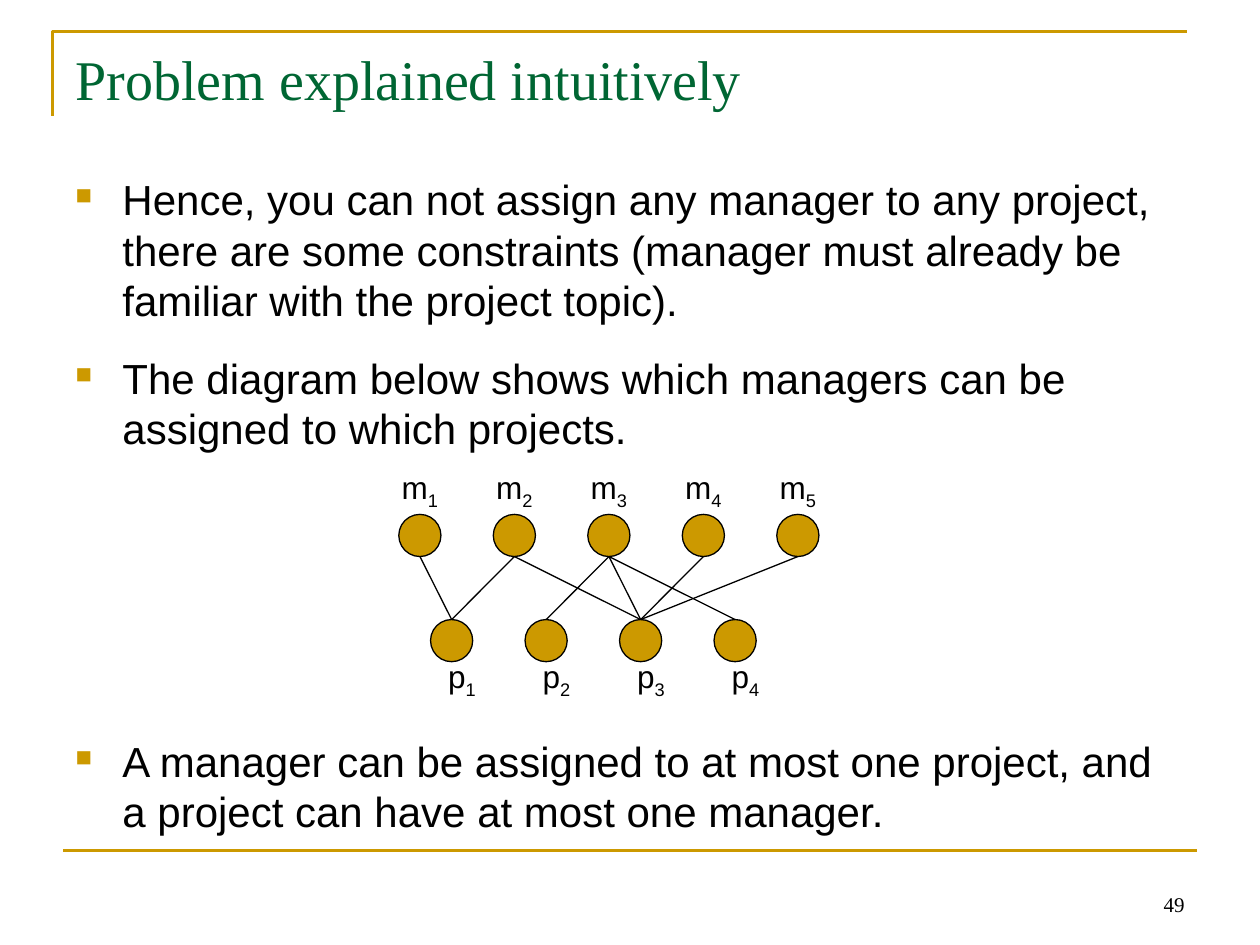
from dataclasses import dataclass

from lxml import etree
from pptx import Presentation
from pptx.dml.color import RGBColor
from pptx.enum.shapes import MSO_CONNECTOR, MSO_SHAPE
from pptx.enum.text import MSO_ANCHOR, MSO_AUTO_SIZE, PP_ALIGN
from pptx.oxml.ns import qn
from pptx.util import Cm, Pt

STRAIGHT = MSO_CONNECTOR.STRAIGHT
OVAL = MSO_SHAPE.OVAL
TOP, BOTTOM = MSO_ANCHOR.TOP, MSO_ANCHOR.BOTTOM
LEFT, CENTER, RIGHT = PP_ALIGN.LEFT, PP_ALIGN.CENTER, PP_ALIGN.RIGHT
FIXED_SIZE, GROW = MSO_AUTO_SIZE.NONE, MSO_AUTO_SIZE.SHAPE_TO_FIT_TEXT


@dataclass(frozen=True)
class Theme:
    """Colours, fonts, type sizes and line widths of the slide."""
    gold: str = "CC9900"
    green: str = "006633"
    black: str = "000000"
    serif: str = "Times New Roman"
    sans: str = "Arial"
    title: int = 32
    body: int = 24
    label: int = 18
    number: int = 12
    rule: float = 1.5
    edge: float = 0.75


THEME = Theme()
NODE_SIZE = 0.85
NODE_PITCH = 7.62 / 4
MANAGER_LEFT, MANAGER_TOP = 8.04, 10.37
PROJECT_LEFT, PROJECT_TOP = 8.68, 12.49
ASSIGNMENTS = [(1, 1), (2, 1), (2, 3), (3, 2), (3, 3), (3, 4), (4, 3), (5, 3)]
POINTS = [
    ("Hence, you can not assign any manager to any project, there are some "
     "constraints (manager must already be familiar with the project topic).", 0),
    ("The diagram below shows which managers can be assigned to which projects.", 15.7),
    ("A manager can be assigned to at most one project, and a project can have "
     "at most one manager.", 161.3),
]


def style_font(font, size, name, color):
    """Set the size, typeface and colour of a font."""
    font.size = Pt(size)
    font.name = name
    font.color.rgb = RGBColor.from_string(color)


def style_line(shape, color, width):
    """Set the colour and width of an outline or connector."""
    shape.line.color.rgb = RGBColor.from_string(color)
    shape.line.width = Pt(width)


def add_line(page, start, end, color, width):
    """Draw a straight line without a shadow between two points."""
    line = page.shapes.add_connector(STRAIGHT, *map(Cm, start + end))
    style_line(line, color, width)
    etree.SubElement(line._element.spPr, qn("a:effectLst"))


def add_frame(page):
    """Draw the corner rule around the title and the rule above the footer."""
    builder = page.shapes.build_freeform(Cm(1.06), Cm(2.33))
    builder.add_line_segments([(Cm(1.06), Cm(0.64)), (Cm(23.92), Cm(0.64))], close=False)
    corner = builder.convert_to_shape()
    corner.shadow.inherit = False
    corner.fill.background()
    style_line(corner, THEME.gold, THEME.rule)
    add_line(page, (1.27, 17.15), (24.13, 17.15), THEME.gold, THEME.rule)


def set_title(page, text):
    """Place, fill and format the title placeholder."""
    title = page.shapes.title
    title.left, title.top, title.width, title.height = Cm(1.27), Cm(0.76), Cm(22.86), Cm(3.18)
    frame = title.text_frame
    frame.text = text
    frame.word_wrap = True
    frame.auto_size = FIXED_SIZE
    frame.vertical_anchor = TOP
    para = frame.paragraphs[0]
    para.alignment = LEFT
    style_font(para.runs[0].font, THEME.title, THEME.serif, THEME.green)


def add_bullet(para):
    """Give a paragraph a hanging gold square bullet."""
    properties = para._p.get_or_add_pPr()
    properties.set("marL", str(Cm(0.95)))
    properties.set("indent", str(-Cm(0.95)))
    color = etree.SubElement(properties, qn("a:buClr"))
    etree.SubElement(color, qn("a:srgbClr"), val=THEME.gold)
    etree.SubElement(properties, qn("a:buSzPct"), val="54000")
    etree.SubElement(properties, qn("a:buChar"), char="■")


def add_points(page):
    """Write the bullet points, leaving room for the diagram."""
    box = page.shapes.add_textbox(Cm(1.27), Cm(3.38), Cm(22.86), Cm(12.57))
    frame = box.text_frame
    frame.word_wrap = True
    for index, (text, gap) in enumerate(POINTS):
        para = frame.paragraphs[0] if index == 0 else frame.add_paragraph()
        para.text = text
        add_bullet(para)
        para.space_before = Pt(gap)
        style_font(para.runs[0].font, THEME.body, THEME.sans, THEME.black)


def add_label(page, letter, number, center, top):
    """Write a letter with a subscript number, centred on a position."""
    width = 1.27
    box = page.shapes.add_textbox(Cm(center - width / 2), Cm(top), Cm(width), Cm(1.02))
    frame = box.text_frame
    frame.word_wrap = False
    frame.auto_size = GROW
    para = frame.paragraphs[0]
    para.alignment = CENTER
    for text in (letter, str(number)):
        span = para.add_run()
        span.text = text
        style_font(span.font, THEME.label, THEME.sans, THEME.black)
    span._r.get_or_add_rPr().set("baseline", "-25000")


def node_center(left, number):
    """Return the horizontal centre of a numbered node in its row."""
    return left + (number - 1) * NODE_PITCH + NODE_SIZE / 2


def add_nodes(page, letter, count, left, top, label_shift, label_top):
    """Draw a row of numbered nodes with their labels."""
    for number in range(1, count + 1):
        center = node_center(left, number)
        node = page.shapes.add_shape(
            OVAL, Cm(center - NODE_SIZE / 2), Cm(top), Cm(NODE_SIZE), Cm(NODE_SIZE))
        node.shadow.inherit = False
        node.fill.solid()
        node.fill.fore_color.rgb = RGBColor.from_string(THEME.gold)
        style_line(node, THEME.black, THEME.edge)
        add_label(page, letter, number, center + label_shift, label_top)


def add_diagram(page):
    """Draw managers, projects and the possible assignments."""
    add_nodes(page, "m", 5, MANAGER_LEFT, MANAGER_TOP, 0, 9.32)
    add_nodes(page, "p", 4, PROJECT_LEFT, PROJECT_TOP, 0.21, 13.13)
    for manager, project in ASSIGNMENTS:
        start = (node_center(MANAGER_LEFT, manager), MANAGER_TOP + NODE_SIZE)
        end = (node_center(PROJECT_LEFT, project), PROJECT_TOP)
        add_line(page, start, end, THEME.black, THEME.edge)


def add_page_number(page, number):
    """Write the page number at the bottom right."""
    box = page.shapes.add_textbox(Cm(18.21), Cm(17.34), Cm(5.92), Cm(1.27))
    frame = box.text_frame
    frame.text = str(number)
    frame.word_wrap = True
    frame.vertical_anchor = BOTTOM
    para = frame.paragraphs[0]
    para.alignment = RIGHT
    style_font(para.runs[0].font, THEME.number, THEME.serif, THEME.black)


def main():
    """Build the slide and save the deck."""
    deck = Presentation()
    deck.slide_width, deck.slide_height = Cm(25.4), Cm(19.05)
    page = deck.slides.add_slide(deck.slide_layouts[5])
    add_frame(page)
    set_title(page, "Problem explained intuitively")
    add_points(page)
    add_diagram(page)
    add_page_number(page, 49)
    deck.save("out.pptx")


if __name__ == "__main__":
    main()
